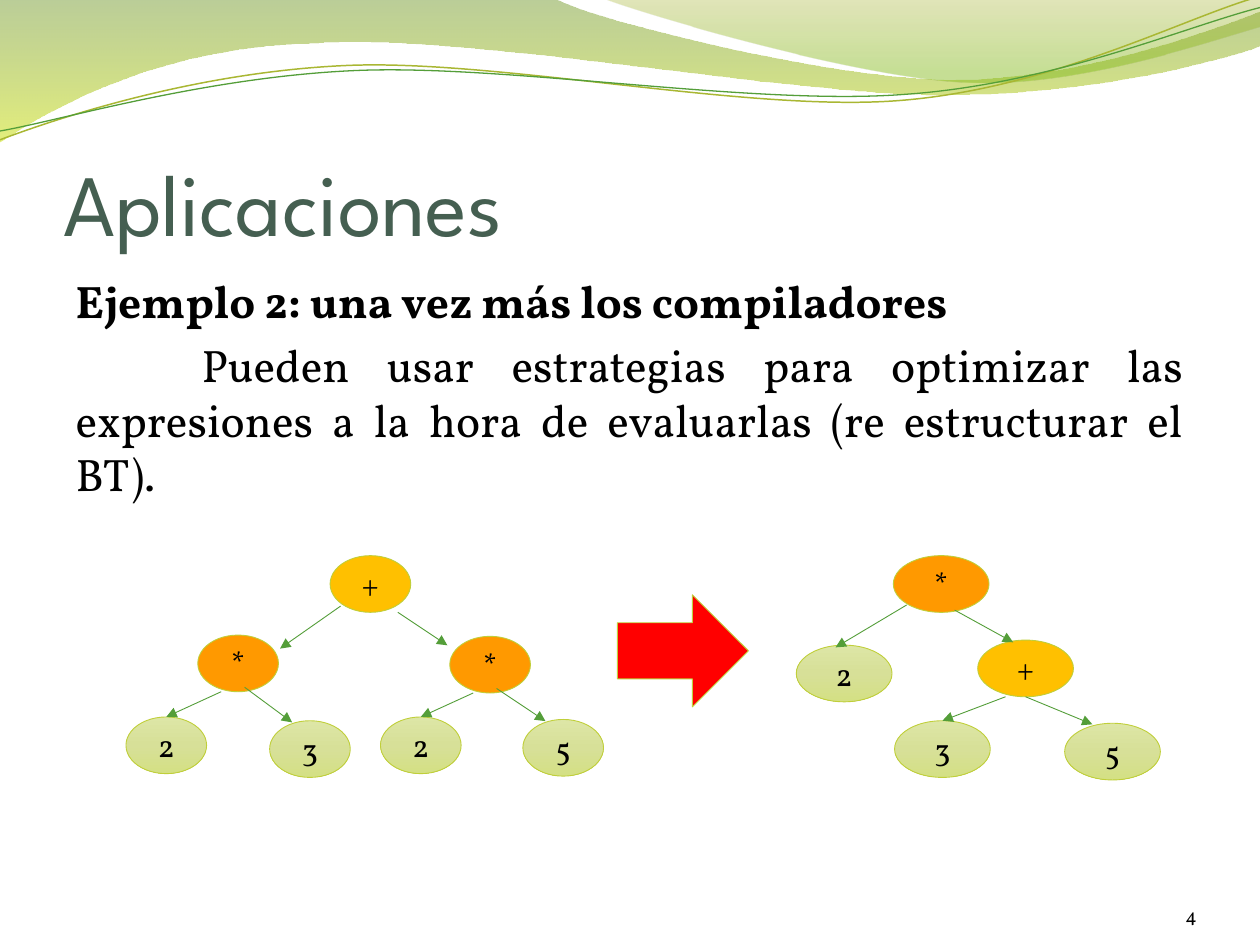
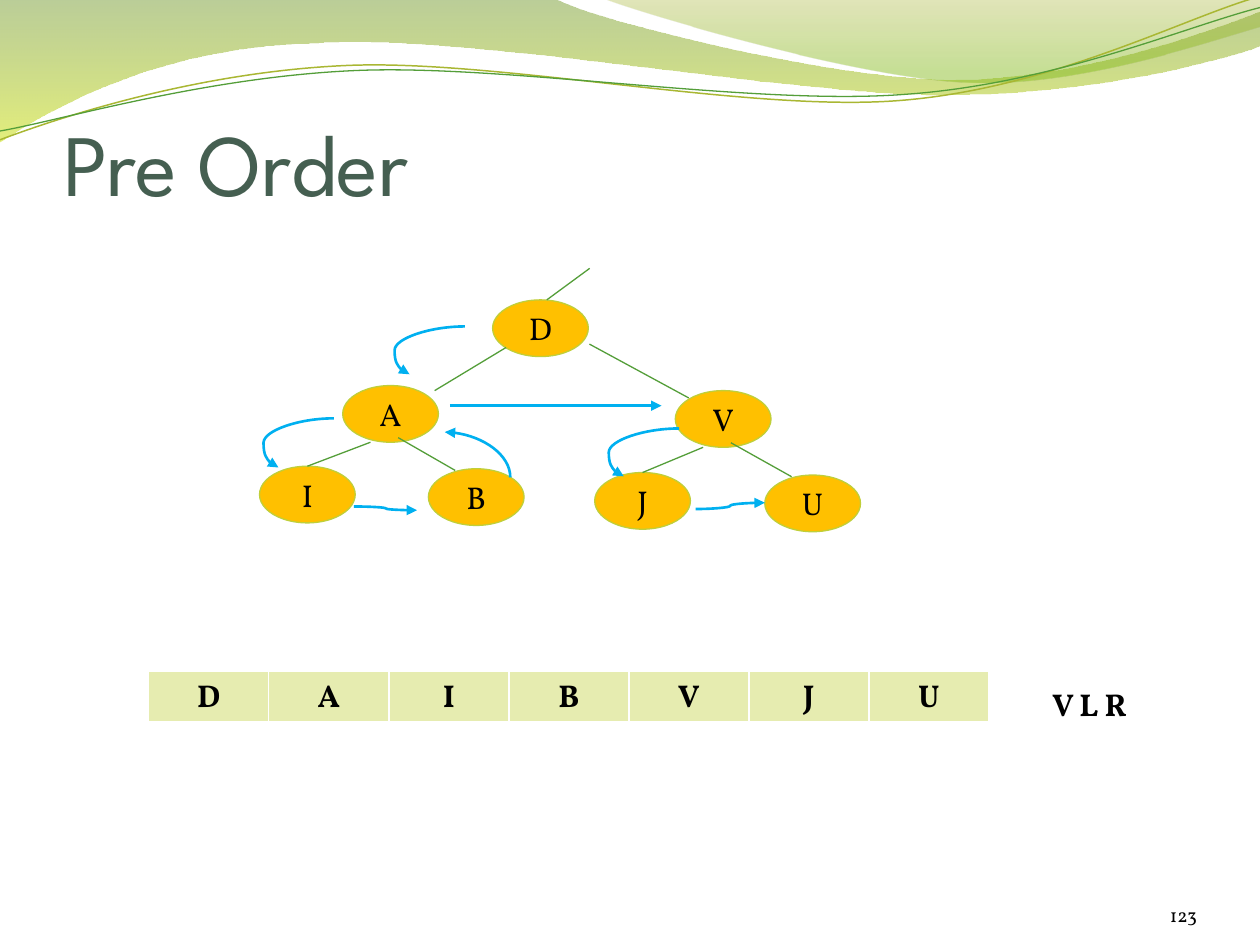
from math import cos, radians, sin

from lxml.etree import SubElement
from pptx import Presentation
from pptx.dml.color import RGBColor
from pptx.enum.shapes import MSO_CONNECTOR, MSO_SHAPE
from pptx.enum.text import MSO_ANCHOR, MSO_AUTO_SIZE, PP_ALIGN
from pptx.oxml.ns import qn
from pptx.util import Inches, Pt

# Shared look
COLORS = {
    "title": "455F51", "text": "000000", "branch": "549E39", "olive": "A9B733",
    "outline": "C0CF3A", "gold": "FFC000", "orange": "FF9900", "red": "FF0000",
    "step": "00B0F0", "cell": "E6ECB0", "white": "FFFFFF",
}
TITLE_FONT, BODY_FONT = "League Spartan", "Vollkorn"
# Gradient stops: position %, colour, opacity %
LEAF = [(0, "DDE6A6", 100), (50, "D7E098", 100), (100, "D4E084", 100)]
NODE_HEIGHT = 0.45

# Waves at the top: a segment of one point is straight, one of three is a curve
WAVES = [
    {"start": (0, 0), "stops": [(0, "69921C", 45), (100, "CCE10F", 55)], "segments": [
        [(4.4, -0.01)],
        [(4.75, 0.17), (6.63, 0.63), (7.58, 0.63)],
        [(8.53, 0.63), (9.58, 0.26), (10, 0.09)],
        [(10.01, 0.36)],
        [(9.83, 0.44), (8.69, 0.76), (7.46, 0.75)],
        [(6.22, 0.75), (3.81, 0.28), (2.57, 0.34)],
        [(1.29, 0.36), (0.46, 0.83), (-0.01, 1.13)]]},
    {"start": (4.79, -0.01), "stops": [(0, "9BAA1A", 30), (80, "81BA16", 45)], "segments": [
        [(5.09, 0.11), (6.82, 0.62), (7.68, 0.65)],
        [(8.55, 0.69), (9.61, 0.32), (10, 0.21)],
        [(10, 0)]]},
    {"start": (0, 1.11), "line": ("olive", 0.85), "segments": [
        [(0.48, 0.93), (1.57, 0.57), (2.76, 0.52)],
        [(3.95, 0.47), (5.92, 0.89), (7.12, 0.8)],
        [(8.33, 0.71), (9.38, 0.15), (9.97, -0.02)]]},
    {"start": (0, 1.04), "line": ("branch", 0.75), "segments": [
        [(0.47, 0.96), (1.63, 0.61), (2.83, 0.56)],
        [(4.02, 0.51), (5.97, 0.84), (7.17, 0.75)],
        [(8.36, 0.67), (9.41, 0.21), (10, 0.06)]]},
]

# Slide content
APPLICATIONS = {"title": "Aplicaciones", "title_top": 0.77, "number": "4"}
EXAMPLE = [
    ("Ejemplo 2: una vez más los compiladores", {"bold": True}),
    ("Pueden usar estrategias para optimizar las expresiones a la hora de "
     "evaluarlas (re estructurar el BT).", {"align": PP_ALIGN.JUSTIFY, "indent": 1}),
]
PRE_ORDER = {"title": "Pre Order", "title_top": 0.45, "number": "123"}
VISITED = "DAIBVJU"
ORDER_RULE = "V L R"

# Branch ends as shares of the parent's and the child's box
LEFT = ((0.29, 1), (0.5, 0))
RIGHT = ((0.58, 0.92), (0.28, 0.03))

# Trees: nodes are key: (label, left, top, fill); branches are (parent, child, ends)
SUM_TREE = {
    "width": 0.64, "line": 0.5, "arrow": True,
    "nodes": {
        "sum": ("+", 2.62, 4.41, "gold"),
        "first": ("*", 1.57, 5.04, "orange"), "second": ("*", 3.57, 5.05, "orange"),
        "a": ("2", 1, 5.69, LEAF), "b": ("3", 2.14, 5.72, LEAF),
        "c": ("2", 3.02, 5.69, LEAF), "d": ("5", 4.15, 5.71, LEAF)},
    "branches": [
        ("sum", "first", ((0.13, 0.89), (1.02, 0.24))),
        ("sum", "second", ((0.84, 1), (-0.03, 0.16))),
        ("first", "a", LEFT), ("first", "b", RIGHT),
        ("second", "c", LEFT), ("second", "d", RIGHT)],
}
PRODUCT_TREE = {
    "width": 0.76, "line": 0.5, "arrow": True,
    "nodes": {
        "product": ("*", 7.09, 4.41, "orange"), "sum": ("+", 7.76, 5.08, "gold"),
        "a": ("2", 6.32, 5.12, LEAF), "b": ("3", 7.1, 5.72, LEAF),
        "c": ("5", 8.45, 5.74, LEAF)},
    "branches": [
        ("product", "a", ((0.14, 0.87), (0.41, 0.04))),
        ("product", "sum", ((0.64, 0.96), (0.37, 0.04))),
        ("sum", "b", LEFT), ("sum", "c", ((0.5, 1), (0.29, 0.02)))],
}
LETTER_TREE = {
    "width": 0.76, "line": 0.75, "arrow": False,
    "nodes": {letter: (letter, left, top, "gold") for letter, left, top in [
        ("D", 3.91, 2.38), ("A", 2.72, 3.06), ("V", 5.36, 3.1), ("I", 2.06, 3.7),
        ("B", 3.4, 3.72), ("J", 4.72, 3.75), ("U", 6.07, 3.77)]},
    "branches": [
        ("D", "A", ((0.14, 0.84), (0.96, 0.09))),
        ("D", "V", ((1.01, 0.78), (0.14, 0.13))),
        ("A", "I", LEFT), ("A", "B", RIGHT), ("V", "J", LEFT), ("V", "U", RIGHT)],
}
ROOT_STEM = ((4.68, 2.13), (4.34, 2.38))
# Steps of the walk: from, to, turn in degrees, bend
WALK = [
    ((3.69, 2.59), (3.25, 2.97), 180, 1.27),
    ((2.65, 3.32), (2.21, 3.71), 180, 1.27),
    ((2.81, 4.02), (3.31, 4.05), 0, 0.5),
    ((4.05, 3.79), (3.53, 3.43), 270, None),
    ((3.57, 3.22), (5.25, 3.22), 0, 0.5),
    ((5.39, 3.4), (4.95, 3.78), 180, 1.27),
    ((5.52, 4.04), (6.07, 3.99), 0, 0.5),
]


def rgb(name):
    return RGBColor.from_string(COLORS[name])


def box(*lengths):
    return [Inches(length) for length in lengths]


def write(frame, text, size=18, font=BODY_FONT, color="text", bold=False,
          align=PP_ALIGN.LEFT, anchor=None, insets=None, before=0, indent=0, add=False):
    """Put one formatted paragraph into a text frame or table cell."""
    if anchor is not None:
        frame.vertical_anchor = anchor
    if insets:
        (frame.margin_left, frame.margin_top,
         frame.margin_right, frame.margin_bottom) = box(*insets)
    paragraph = frame.add_paragraph() if add else frame.paragraphs[0]
    paragraph.alignment = align
    paragraph.space_before = Pt(before)
    layout = paragraph._p.get_or_add_pPr()
    layout.set("marL", "0")
    layout.set("indent", str(Inches(indent)))
    SubElement(layout, qn("a:buNone"))
    run = paragraph.add_run()
    run.text = text
    run.font.size, run.font.name, run.font.bold = Pt(size), font, bold
    run.font.color.rgb = rgb(color)


def paint(shape, fill=None, line=None):
    """Fill with a colour name, gradient stops or nothing; line is (colour, points)."""
    shape.shadow.inherit = False
    if isinstance(fill, str):
        shape.fill.solid()
        shape.fill.fore_color.rgb = rgb(fill)
    else:
        shape.fill.background()
    if isinstance(fill, list):
        properties = shape._element.spPr
        gradient = SubElement(properties, qn("a:gradFill"))
        stops = SubElement(gradient, qn("a:gsLst"))
        for position, color, opacity in fill:
            stop = SubElement(stops, qn("a:gs"), pos=str(position * 1000))
            tint = SubElement(stop, qn("a:srgbClr"), val=color)
            SubElement(tint, qn("a:alpha"), val=str(opacity * 1000))
        SubElement(gradient, qn("a:lin"), ang="5400000", scaled="0")
        properties.replace(properties.find(qn("a:noFill")), gradient)
    if line:
        shape.line.color.rgb, shape.line.width = rgb(line[0]), Pt(line[1])
    else:
        shape.line.fill.background()


def connect(slide, start, end, color, width, arrow=False, kind=MSO_CONNECTOR.STRAIGHT):
    link = slide.shapes.add_connector(kind, *box(*start, *end))
    link.line.color.rgb, link.line.width = rgb(color), Pt(width)
    if arrow:
        SubElement(link.line._get_or_add_ln(), qn("a:tailEnd"), type="triangle")
    SubElement(link._element.spPr, qn("a:effectLst"))
    return link


def add_step(slide, start, end, turn, bend):
    """Curved arrow, laid out unturned about its centre and then turned."""
    middle_x, middle_y = (start[0] + end[0]) / 2, (start[1] + end[1]) / 2
    c, s = cos(radians(turn)), sin(radians(turn))
    unturned = [(middle_x + (x - middle_x) * c + (y - middle_y) * s,
                 middle_y - (x - middle_x) * s + (y - middle_y) * c) for x, y in (start, end)]
    step = connect(slide, *unturned, "step", 1.5, True, MSO_CONNECTOR.CURVE)
    properties = step._element.spPr
    if turn:
        properties.find(qn("a:xfrm")).set("rot", str(turn * 60000))
    geometry = properties.find(qn("a:prstGeom"))
    if bend is None:
        geometry.set("prst", "curvedConnector2")
    else:
        SubElement(geometry.find(qn("a:avLst")), qn("a:gd"), name="adj1",
                   fmla=f"val {round(bend * 100000)}")


def add_tree(slide, tree):
    width, nodes = tree["width"], tree["nodes"]
    for label, left, top, fill in nodes.values():
        node = slide.shapes.add_shape(MSO_SHAPE.OVAL, *box(left, top, width, NODE_HEIGHT))
        paint(node, fill, ("outline", tree["line"]))
        write(node.text_frame, label, align=PP_ALIGN.CENTER, anchor=MSO_ANCHOR.MIDDLE)
    for parent, child, shares in tree["branches"]:
        ends = [(nodes[key][1] + across * width, nodes[key][2] + down * NODE_HEIGHT)
                for key, (across, down) in zip((parent, child), shares)]
        connect(slide, *ends, "branch", tree["line"], tree["arrow"])


def add_waves(slide, master):
    """Draw the waves and hand them to the master, behind everything else."""
    for depth, wave in enumerate(WAVES, start=2):
        points = [point for segment in wave["segments"] for point in segment]
        builder = slide.shapes.build_freeform(
            *(100 * v for v in wave["start"]), scale=Inches(1) / 100)
        builder.add_line_segments([(100 * x, 100 * y) for x, y in points],
                                  close="stops" in wave)
        shape = builder.convert_to_shape()
        straight = iter(list(shape._element.iter(qn("a:lnTo"))))
        for segment in wave["segments"]:
            parts = [next(straight) for _ in segment]
            if len(parts) == 3:
                parts[0].tag = qn("a:cubicBezTo")
                for part in parts[1:]:
                    parts[0].append(part[0])
                    part.getparent().remove(part)
        paint(shape, wave.get("stops"), wave.get("line"))
        master.shapes._spTree.insert(depth, shape._element)


def start_slide(deck, layout, content):
    slide = deck.slides.add_slide(deck.slide_layouts[layout])
    title = slide.shapes.title
    title.left, title.top, title.width, title.height = box(0.5, content["title_top"], 9, 1.25)
    title.text_frame.auto_size = MSO_AUTO_SIZE.NONE
    write(title.text_frame, content["title"], size=50, font=TITLE_FONT, color="title",
          anchor=MSO_ANCHOR.BOTTOM, insets=(0, 0.05, 0, 0))
    number = slide.shapes.add_textbox(*box(8.67, 6.95, 0.83, 0.4)).text_frame
    number.word_wrap = True
    write(number, content["number"], size=11, align=PP_ALIGN.RIGHT,
          anchor=MSO_ANCHOR.BOTTOM, insets=(0, 0, 0, 0))
    return slide


def add_visit_table(slide):
    table = slide.shapes.add_table(1, len(VISITED), *box(1.18, 5.33, 6.67, 0.41)).table
    table.first_row = table.horz_banding = False
    for cell, letter in zip(table.iter_cells(), VISITED):
        for side, width in (("lnL", 1), ("lnR", 1), ("lnT", 1), ("lnB", 3)):
            border = SubElement(cell._tc.get_or_add_tcPr(), qn(f"a:{side}"), w=str(Pt(width)))
            SubElement(SubElement(border, qn("a:solidFill")), qn("a:srgbClr"),
                       val=COLORS["white"])
        cell.fill.solid()
        cell.fill.fore_color.rgb = rgb("cell")
        write(cell.text_frame, letter, bold=True, align=PP_ALIGN.CENTER)


def main():
    deck = Presentation()
    deck.slide_width, deck.slide_height = box(10, 7.5)

    # Applications: one expression tree turned into another
    applications = start_slide(deck, 1, APPLICATIONS)
    add_waves(applications, deck.slide_master)
    body = applications.placeholders[1]
    body.left, body.top, body.width, body.height = box(0.5, 2.12, 9, 4.8)
    body.text_frame.auto_size = MSO_AUTO_SIZE.NONE
    for index, (text, style) in enumerate(EXAMPLE):
        write(body.text_frame, text, size=26, before=5.2, add=index > 0, **style)
    add_tree(applications, SUM_TREE)
    add_tree(applications, PRODUCT_TREE)
    becomes = applications.shapes.add_shape(MSO_SHAPE.RIGHT_ARROW, *box(4.9, 4.72, 1.04, 0.89))
    paint(becomes, "red", ("outline", 0.5))

    # Pre-order: the tree, the walk and the visited letters
    pre_order = start_slide(deck, 5, PRE_ORDER)
    add_tree(pre_order, LETTER_TREE)
    connect(pre_order, *ROOT_STEM, "branch", 0.75)
    add_visit_table(pre_order)
    rule = pre_order.shapes.add_textbox(*box(8.2, 5.39, 1.55, 0.34)).text_frame
    rule.word_wrap = True
    write(rule, ORDER_RULE, bold=True, insets=(0.15, 0.05, 0.1, 0.05))
    for step in WALK:
        add_step(pre_order, *step)

    deck.save("out.pptx")


if __name__ == "__main__":
    main()
